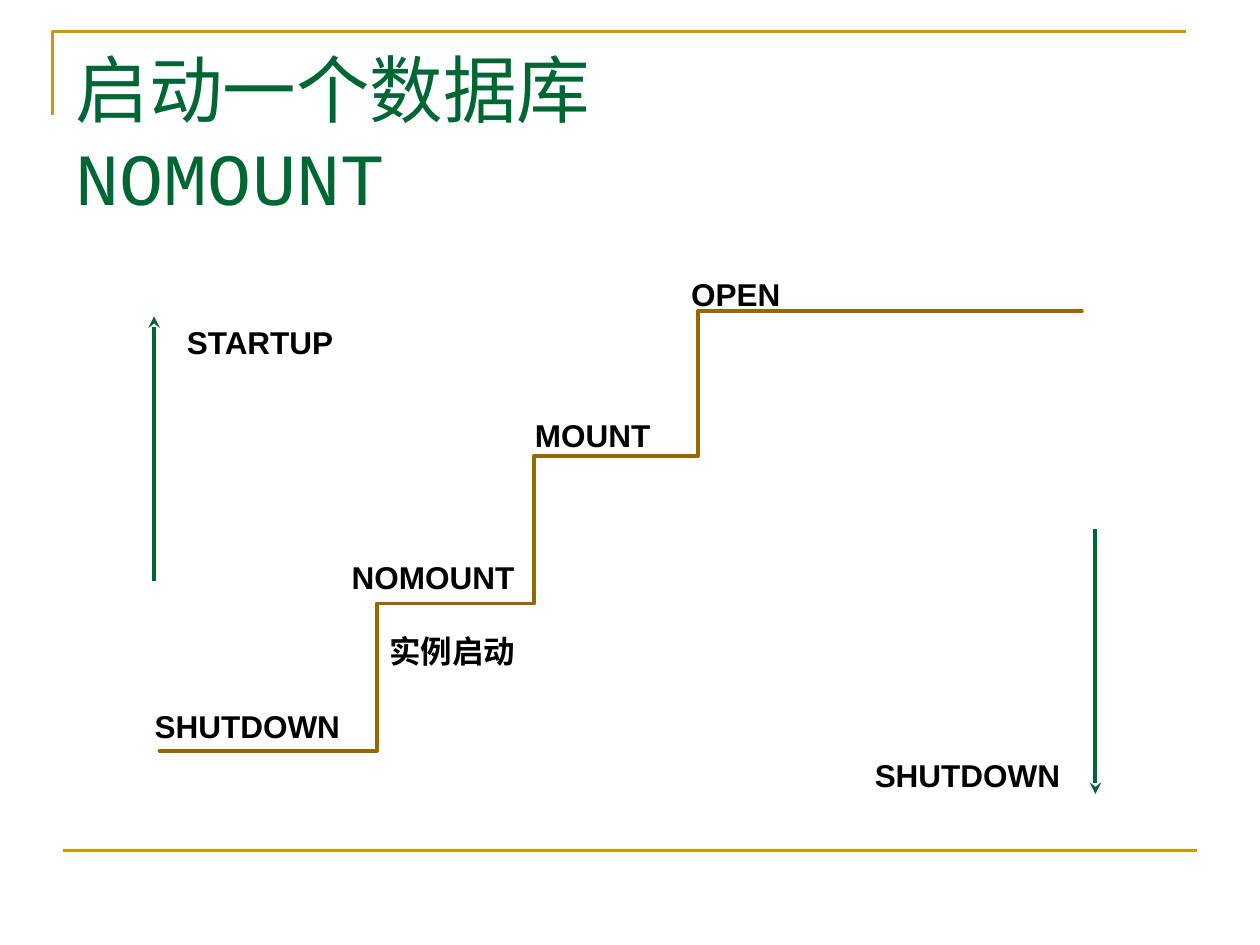
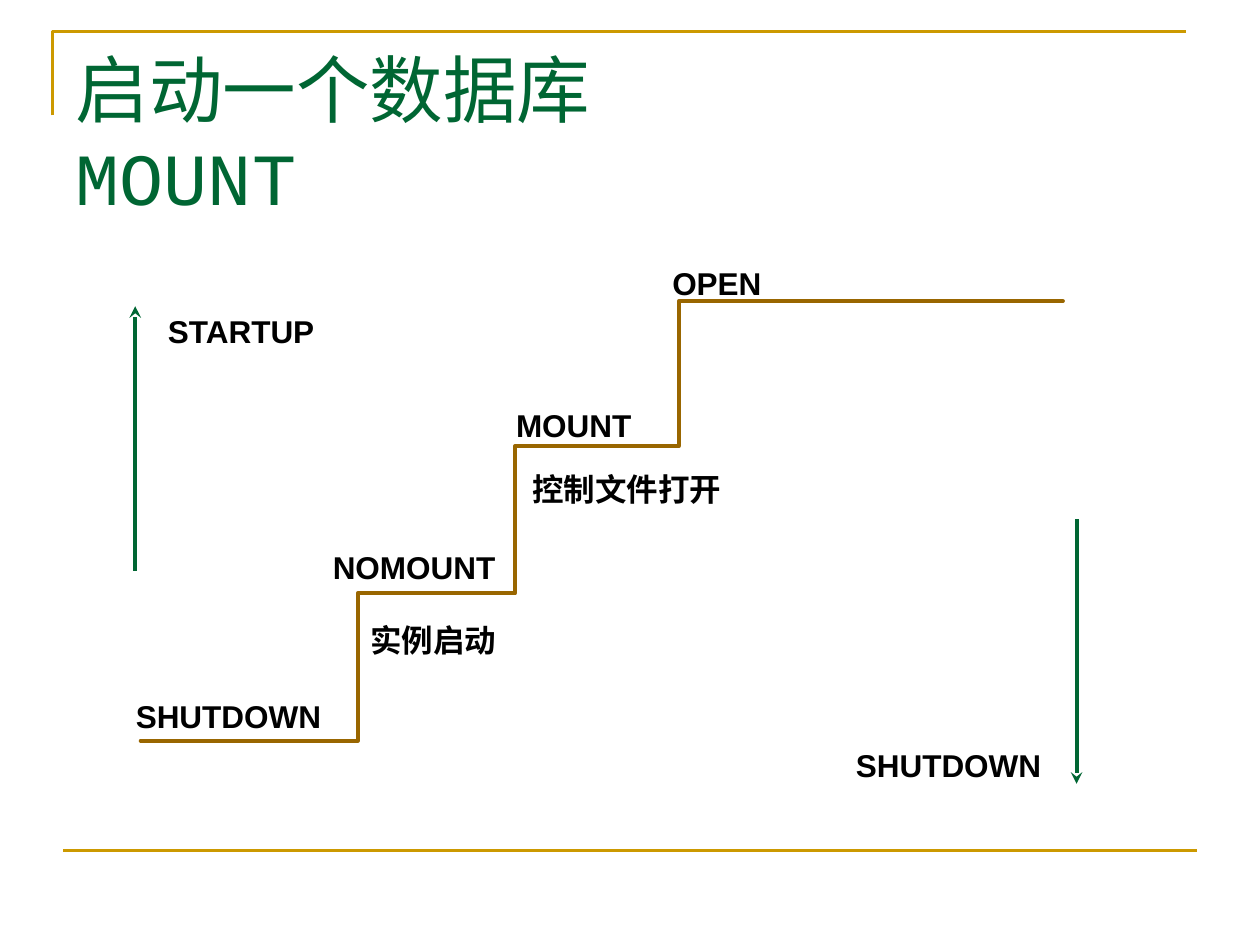
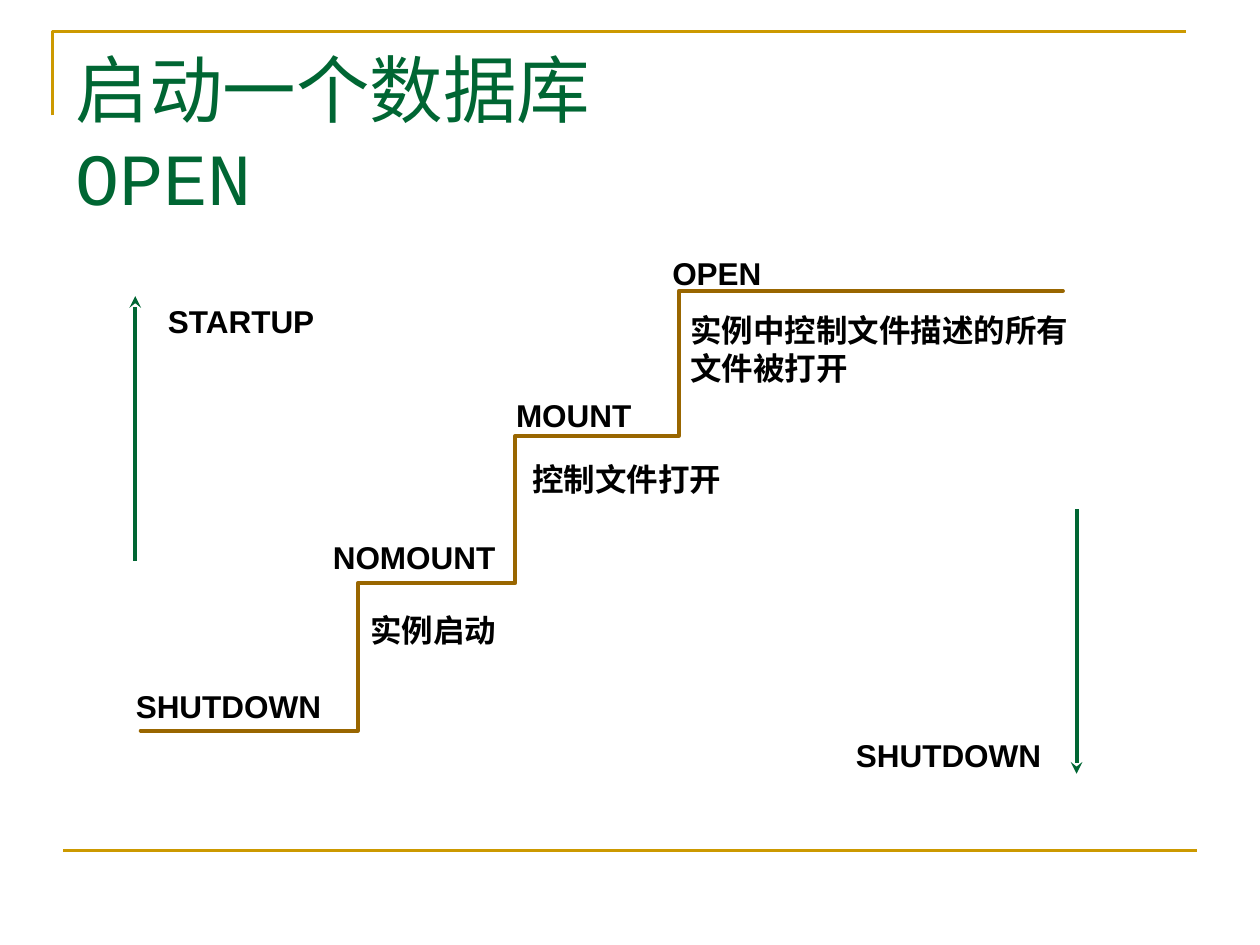
import pptx
import pptx.util
import pptx.dml.color
import pptx.enum.shapes
import pptx.enum.text
import pptx.oxml.ns
import lxml.etree

Pt = pptx.util.Pt
COLORS = {"title": "006633", "frame": "CC9900", "stairs": "996600", "text": "000000"}
TITLE = "启动一个数据库"

# One entry per slide: state reached, diagram origin, notes shown,
# and widths of the NOMOUNT and SHUTDOWN labels
SLIDES = [
    {"state": "NOMOUNT", "origin": (91.2, 177.9), "notes": 1, "widths": (159, 179.3)},
    {"state": "MOUNT", "origin": (80.4, 172.1), "notes": 2, "widths": (108, 123.8)},
    {"state": "OPEN", "origin": (80.4, 166.3), "notes": 3, "widths": (113.8, 130.3)},
]

# Diagram parts, measured from the left end and the top of the staircase
RISERS = [0, 124, 214, 307.5, 527]
TREADS = [251.2, 167, 82.8, 0]
LABELS = [("OPEN", 296.7, -24.5, 93.6), ("MOUNT", 207.4, 56.2, 117.4)]
LOW_LABELS = [("NOMOUNT", 102.7, 137.5), ("SHUTDOWN", -9.9, 222.5)]
NOTES = [  # text, left, top, width, height
    ("实例启动", 124.2, 179.5, 136, 28.8),
    ("控制文件打开", 216.7, 92.9, 147.6, 28.8),
    ("实例中控制文件描述的所有文件被打开", 307, 7.9, 231.8, 50.4),
]
DIRECTIONS = [("STARTUP", 8.5, 2.9, 99.4), ("SHUTDOWN", 401.6, 250.6, 120.2)]
ARROWS = [((534.8, 124.6), (534.8, 275.8)), ((-3.1, 154.1), (-3.1, 2.9))]


def rgb(name):
    return pptx.dml.color.RGBColor.from_string(COLORS[name])


def style_line(shape, color, width):
    shape.line.color.rgb = rgb(color)
    shape.line.width = Pt(width)


def style_span(span, size, font, color, bold=False):
    span.font.size = Pt(size)
    span.font.name = font
    span.font.bold = bold
    span.font.color.rgb = rgb(color)


def add_line(page, start, end, color, width, arrow=False):
    line = page.shapes.add_connector(
        pptx.enum.shapes.MSO_CONNECTOR.STRAIGHT, *[Pt(v) for v in (*start, *end)])
    style_line(line, color, width)
    if arrow:
        tail = lxml.etree.SubElement(
            line.line._get_or_add_ln(), pptx.oxml.ns.qn("a:tailEnd"))
        tail.set("type", "stealth")
    lxml.etree.SubElement(line._element.spPr, pptx.oxml.ns.qn("a:effectLst"))


def add_outline(page, points, color, width):
    points = [(Pt(x), Pt(y)) for x, y in points]
    builder = page.shapes.build_freeform(*points[0])
    builder.add_line_segments(points[1:], close=False)
    outline = builder.convert_to_shape()
    outline.shadow.inherit = False
    outline.fill.background()
    style_line(outline, color, width)
    return outline


def add_label(page, text, left, top, width, height=28.8, wrap=True):
    box = page.shapes.add_textbox(Pt(left), Pt(top), Pt(width), Pt(height))
    frame = box.text_frame
    frame.word_wrap = wrap
    frame.auto_size = pptx.enum.text.MSO_AUTO_SIZE.SHAPE_TO_FIT_TEXT
    frame.text = text
    style_span(frame.paragraphs[0].runs[0], 18, "Arial", "text", bold=True)


def add_frame(page):
    add_outline(page, [(30, 66), (30, 18), (678, 18)], "frame", 1.5)
    add_line(page, (36, 486), (684, 486), "frame", 1.5)


def set_title(page, state):
    title = page.shapes.title
    title.left, title.top, title.width, title.height = Pt(36), Pt(21.6), Pt(648), Pt(90)
    frame = title.text_frame
    frame.text = TITLE + "\v" + state
    frame.word_wrap = True
    frame.auto_size = pptx.enum.text.MSO_AUTO_SIZE.NONE
    frame.vertical_anchor = pptx.enum.text.MSO_ANCHOR.TOP
    para = frame.paragraphs[0]
    para.alignment = pptx.enum.text.PP_ALIGN.LEFT
    for span, font in zip(para.runs, ("Times New Roman", "Courier New")):
        style_span(span, 42, font, "title")


def add_diagram(page, slide):
    left, top = slide["origin"]

    def place(point):
        return left + point[0], top + point[1]

    # Staircase: each tread runs from one riser to the next
    corners = []
    for start, end, level in zip(RISERS, RISERS[1:], TREADS):
        corners += [place((start, level)), place((end, level))]
    stairs = add_outline(page, corners, "stairs", 2.25)
    stairs.line._get_or_add_ln().set("cap", "rnd")

    # Labels on the steps, notes below them
    low_labels = [(*label, width) for label, width in zip(LOW_LABELS, slide["widths"])]
    for text, x, y, *size in LABELS + low_labels + NOTES[:slide["notes"]]:
        add_label(page, text, *place((x, y)), *size)

    # Directions with their arrows
    for text, x, y, width in DIRECTIONS:
        add_label(page, text, *place((x, y)), width, wrap=False)
    for start, end in ARROWS:
        add_line(page, place(start), place(end), "title", 2.25, arrow=True)


def main():
    deck = pptx.Presentation()
    deck.slide_width, deck.slide_height = Pt(720), Pt(540)
    for slide in SLIDES:
        page = deck.slides.add_slide(deck.slide_layouts[5])
        add_frame(page)
        set_title(page, slide["state"])
        add_diagram(page, slide)
    deck.save("out.pptx")


if __name__ == "__main__":
    main()
